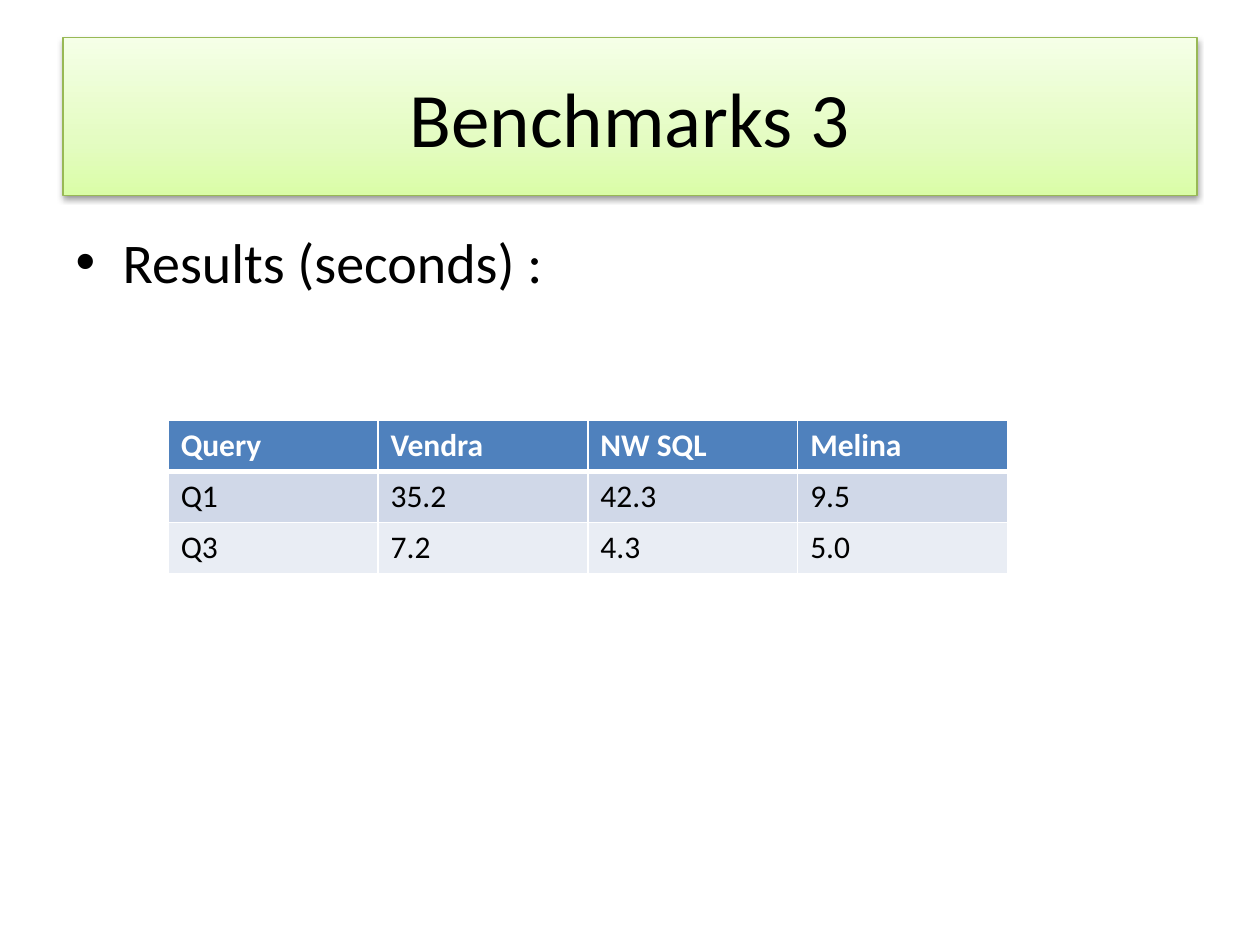
from lxml.etree import SubElement
from pptx import Presentation
from pptx.dml.color import RGBColor
from pptx.enum.text import MSO_ANCHOR, PP_ALIGN
from pptx.oxml import parse_xml
from pptx.oxml.ns import nsdecls, qn
from pptx.util import Cm, Pt

COLOURS = {
    "text": "000000", "white": "FFFFFF", "title_line": "98B955",
    "title_low": "DAFDA7", "title_middle": "E4FCC2", "title_high": "F5FFE7",
    "header": "4F81BD", "odd_row": "D0D8E8", "even_row": "E9EDF4",
}
FONT = "Calibri"
RESULTS = [
    ["Query", "Vendra", "NW SQL", "Melina"],
    ["Q1", "35.2", "42.3", "9.5"],
    ["Q3", "7.2", "4.3", "5.0"],
]


def set_values(target, values):
    """Set each named attribute of the target."""
    for name, value in values.items():
        setattr(target, name, value)


def write_text(frame, text, size, colour="text", bold=False, align=None):
    """Write one formatted paragraph and return it."""
    frame.text = text
    para = frame.paragraphs[0]
    para.alignment = align
    span = para.runs[0]
    set_values(span.font, {"name": FONT, "size": Pt(size), "bold": bold})
    span.font.color.rgb = RGBColor.from_string(COLOURS[colour])
    return para


def place(box, left, top, width, height):
    """Move and size a box, with lengths in centimetres."""
    set_values(box, {"left": Cm(left), "top": Cm(top),
                     "width": Cm(width), "height": Cm(height)})


def decorate_title(box):
    """Give the title its gradient, outline and soft shadow."""
    properties = box._element.spPr
    stops = ((0, "title_low"), (35, "title_middle"), (100, "title_high"))
    gradient = "".join(
        f'<a:gs pos="{position * 1000}"><a:srgbClr val="{COLOURS[name]}"/></a:gs>'
        for position, name in stops)
    parts = (
        f'<a:prstGeom {nsdecls("a")} prst="rect"><a:avLst/></a:prstGeom>',
        f'<a:gradFill {nsdecls("a")} rotWithShape="1"><a:gsLst>{gradient}</a:gsLst>'
        '<a:lin ang="16200000" scaled="1"/></a:gradFill>',
        f'<a:effectLst {nsdecls("a")}><a:outerShdw blurRad="{Pt(3.1)}" dist="{Pt(1.6)}" '
        f'dir="5400000" rotWithShape="0"><a:srgbClr val="{COLOURS["text"]}">'
        '<a:alpha val="38000"/></a:srgbClr></a:outerShdw></a:effectLst>',
    )
    for part in parts:
        properties.append(parse_xml(part))
    box.line.width = Pt(0.75)
    box.line.color.rgb = RGBColor.from_string(COLOURS["title_line"])


def add_title(page, text):
    """Fill and format the title placeholder."""
    box = page.shapes.title
    place(box, 1.27, 0.76, 22.86, 3.18)
    decorate_title(box)
    box.text_frame.vertical_anchor = MSO_ANCHOR.MIDDLE
    write_text(box.text_frame, text, 44, align=PP_ALIGN.CENTER)


def add_bullet(page, text):
    """Fill the body placeholder with a bulleted line."""
    box = page.placeholders[1]
    place(box, 1.27, 4.45, 22.86, 2.34)
    para = write_text(box.text_frame, text, 32)
    settings = para._p.get_or_add_pPr()
    settings.set("marL", str(Cm(0.95)))
    settings.set("indent", str(-Cm(0.95)))
    SubElement(settings, qn("a:buChar")).set("char", "•")


def set_borders(cell, is_header):
    """Draw white borders, heavier below the header."""
    settings = cell._tc.get_or_add_tcPr()
    widths = {"L": 1, "R": 1, "T": 1, "B": 3 if is_header else 1}
    for index, (side, width) in enumerate(widths.items()):
        settings.insert(index, parse_xml(
            f'<a:ln{side} {nsdecls("a")} w="{Pt(width)}"><a:solidFill>'
            f'<a:srgbClr val="{COLOURS["white"]}"/></a:solidFill></a:ln{side}>'))


def add_results(page, rows):
    """Add the benchmark table with a header and banded rows."""
    column_width, row_height = Cm(4.23), Cm(1.03)
    table = page.shapes.add_table(
        len(rows), len(rows[0]), Cm(3.39), Cm(8.47),
        column_width * len(rows[0]), row_height * len(rows)).table
    for row_index, row in enumerate(rows):
        is_header = row_index == 0
        fill = "header" if is_header else ("even_row", "odd_row")[row_index % 2]
        for column_index, text in enumerate(row):
            cell = table.cell(row_index, column_index)
            cell.fill.solid()
            cell.fill.fore_color.rgb = RGBColor.from_string(COLOURS[fill])
            write_text(cell.text_frame, text, 18,
                       "white" if is_header else "text", is_header)
            set_borders(cell, is_header)


def main():
    """Build and save the benchmark slide."""
    deck = Presentation()
    set_values(deck, {"slide_width": Cm(25.4), "slide_height": Cm(19.05)})
    page = deck.slides.add_slide(deck.slide_layouts[1])
    add_title(page, "Benchmarks 3")
    add_bullet(page, "Results (seconds) :")
    add_results(page, RESULTS)
    deck.save("out.pptx")


main()
